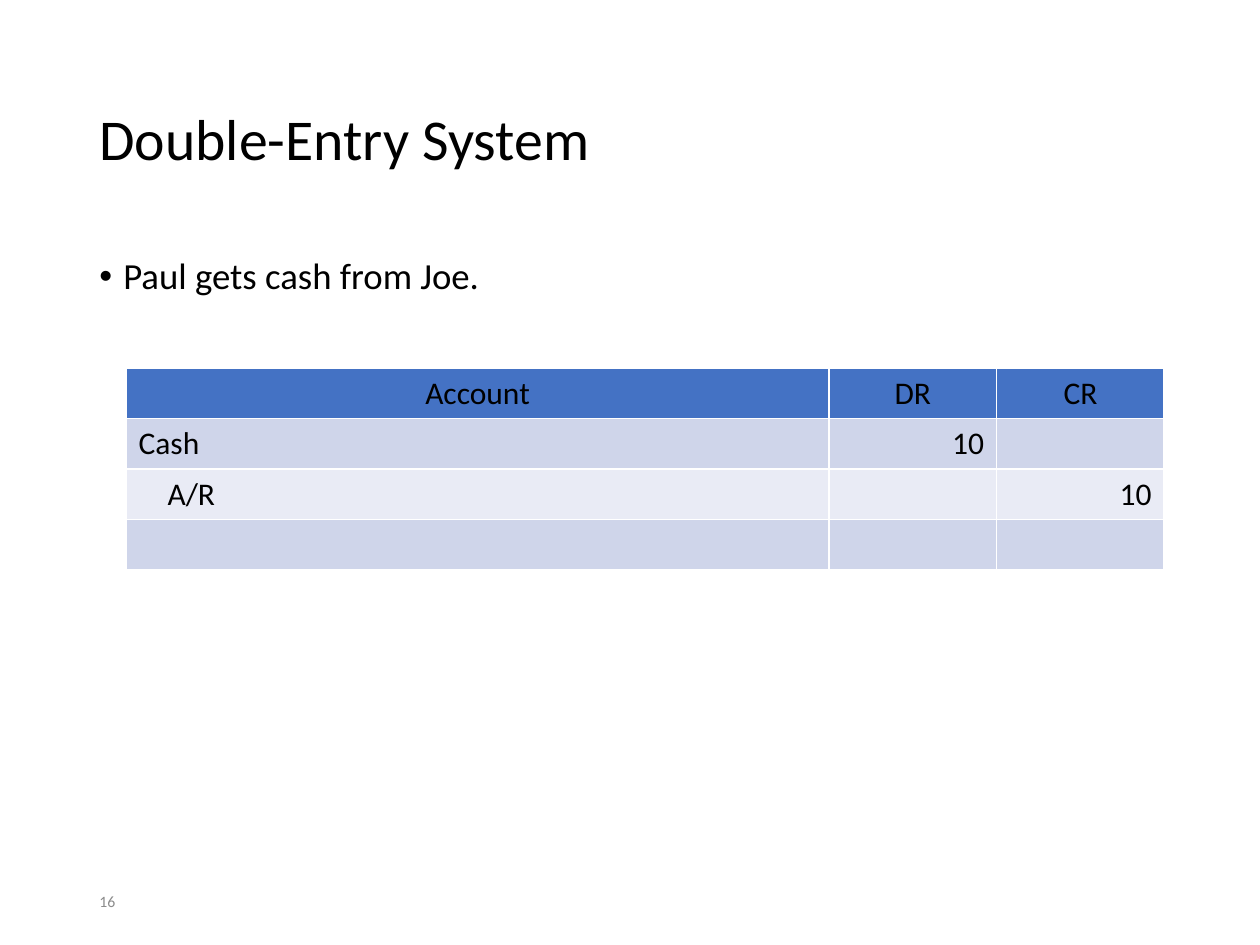
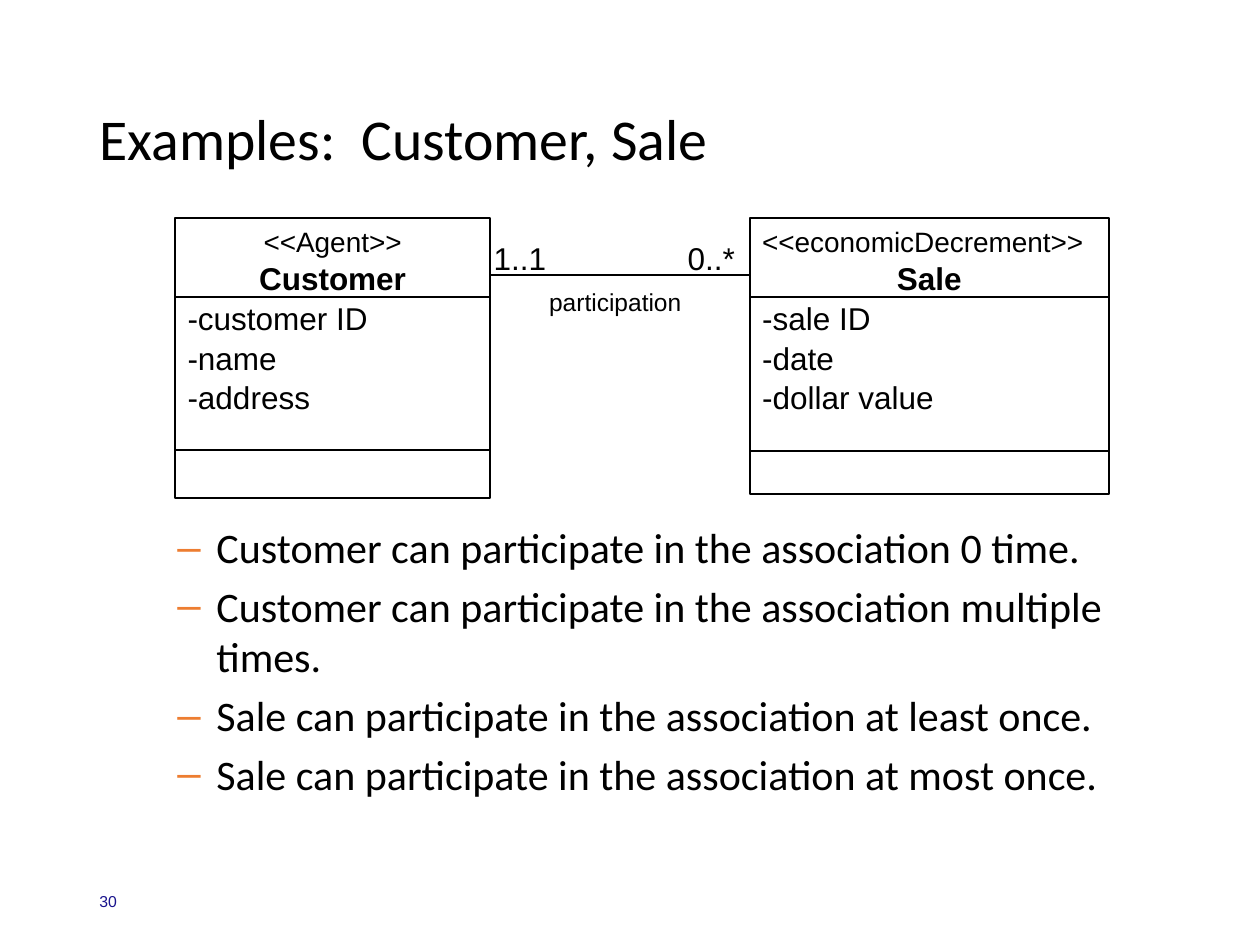
from dataclasses import dataclass

from lxml import etree
from pptx import Presentation
from pptx.dml.color import RGBColor
from pptx.enum.shapes import MSO_CONNECTOR as Connector, MSO_SHAPE as Shape
from pptx.enum.text import MSO_ANCHOR as Anchor, PP_ALIGN as Align
from pptx.oxml.ns import qn
from pptx.util import Inches, Pt


@dataclass(frozen=True)
class Theme:
    ink: str = "000000"
    paper: str = "FFFFFF"
    accent: str = "ED7D31"
    header: str = "4472C4"
    bands: tuple = ("CFD5EA", "E9EBF5")
    number_gray: str = "8C8C8C"
    number_blue: str = "19138D"
    sans: str = "Calibri"
    diagram: str = "Arial"
    title: float = 33
    body: float = 21
    points: float = 24
    normal: float = 18
    stereotype: float = 16
    label: float = 14
    number: float = 9
    line: float = 1


def add_xml(parent, tag, **attributes):
    return etree.SubElement(parent, qn(tag), attributes)


def set_bullet(para, char, color, margin, indent):
    properties = para._p.get_or_add_pPr()
    properties.set("marL", str(Inches(margin)))
    properties.set("indent", str(Inches(indent)))
    add_xml(add_xml(properties, "a:buClr"), "a:srgbClr", val=color)
    add_xml(properties, "a:buFont", typeface="Arial")
    add_xml(properties, "a:buChar", char=char)


class SlideBuilder:
    def __init__(self, theme):
        self.theme = theme
        self.deck = Presentation()
        self.deck.slide_width, self.deck.slide_height = Inches(10), Inches(7.5)
        self.page = None

    def new_page(self, title, number, number_font, number_color):
        theme = self.theme
        self.page = self.deck.slides.add_slide(self.deck.slide_layouts[6])
        self.text((0.69, 0.4, 8.62, 1.45), [title], theme.title,
                  anchor=Anchor.MIDDLE, line_spacing=0.9)
        self.text((0.69, 6.95, 2.25, 0.4), [number], theme.number, number_font,
                  number_color, anchor=Anchor.MIDDLE)

    def fill_para(self, para, text, size, font=None, color=None, bold=False, **formats):
        """Put text in a paragraph; formats are paragraph attributes."""
        for name, value in formats.items():
            setattr(para, name, value)
        span = para.add_run()
        span.text = text
        values = {"size": Pt(size), "name": font or self.theme.sans, "bold": bold}
        for name, value in values.items():
            setattr(span.font, name, value)
        span.font.color.rgb = RGBColor.from_string(color or self.theme.ink)

    def text(self, place, lines, size, font=None, color=None, anchor=Anchor.TOP,
             wrap=True, bullet=None, space_before=0, **formats):
        """Add a text box; bullet is (char, colour, margin, indent)."""
        box = self.page.shapes.add_textbox(*map(Inches, place))
        frame = box.text_frame
        frame.word_wrap, frame.vertical_anchor = wrap, anchor
        for index, line in enumerate(lines):
            para = frame.add_paragraph() if index else frame.paragraphs[0]
            if bullet:
                set_bullet(para, *bullet)
            if index:
                para.space_before = Pt(space_before)
            self.fill_para(para, line, size, font, color, **formats)

    def line(self, start, end, parent=None):
        shapes = (parent or self.page).shapes
        line = shapes.add_connector(Connector.STRAIGHT, *map(Inches, start + end))
        line.line.color.rgb = RGBColor.from_string(self.theme.ink)
        line.line.width = Pt(self.theme.line)
        add_xml(line._element.spPr, "a:effectLst")

    def class_box(self, place, stereotype, stereotype_align, name, attributes, dividers):
        """Add a UML class: outline with text and dividers at the given heights."""
        theme = self.theme
        left, top, width, height = place
        group = self.page.shapes.add_group_shape()
        box = group.shapes.add_shape(Shape.RECTANGLE, *map(Inches, place))
        box.shadow.inherit = False
        box.fill.background()
        box.line.color.rgb = RGBColor.from_string(theme.ink)
        box.line.width = Pt(theme.line)
        frame = box.text_frame
        frame.word_wrap, frame.vertical_anchor = True, Anchor.TOP
        self.fill_para(frame.paragraphs[0], stereotype, theme.stereotype, theme.diagram,
                       alignment=stereotype_align)
        self.fill_para(frame.add_paragraph(), name, theme.normal, theme.diagram, bold=True,
                       alignment=Align.CENTER, space_before=Pt(1))
        for attribute in attributes:
            self.fill_para(frame.add_paragraph(), f"-{attribute}", theme.normal,
                           theme.diagram, alignment=Align.LEFT, space_before=Pt(1))
        for y in dividers:
            self.line((left, y), (left + width, y), group)

    def cell_style(self, cell, color):
        cell.fill.solid()
        cell.fill.fore_color.rgb = RGBColor.from_string(color)
        properties = cell._tc.get_or_add_tcPr()
        for index, side in enumerate("LRTB"):
            border = etree.Element(qn(f"a:ln{side}"), w=str(Pt(self.theme.line)))
            fill = add_xml(border, "a:solidFill")
            add_xml(fill, "a:srgbClr", val=self.theme.paper)
            properties.insert(index, border)

    def journal(self, left, top, widths, row_height, rows):
        """Add a journal table; a row is (account, debit, credit, indent)."""
        theme = self.theme
        place = (left, top, sum(widths), row_height * len(rows))
        table = self.page.shapes.add_table(len(rows), len(widths),
                                           *map(Inches, place)).table
        for column, width in zip(table.columns, widths):
            column.width = Inches(width)
        for r, (*texts, indent) in enumerate(rows):
            color = theme.bands[(r - 1) % 2] if r else theme.header
            for c, text in enumerate(texts):
                cell = table.cell(r, c)
                self.cell_style(cell, color)
                align = Align.CENTER if r == 0 else Align.RIGHT if c else Align.LEFT
                if text:
                    self.fill_para(cell.text_frame.paragraphs[0], text, theme.normal,
                                   alignment=align)
            table.cell(r, 0).margin_left = Inches(0.1 + indent)

    def save(self):
        self.deck.save("out.pptx")


def double_entry(builder):
    theme = builder.theme
    builder.new_page("Double-Entry System", "16", theme.sans, theme.number_gray)
    builder.text((0.69, 2, 8.62, 4.76), ["Paul gets cash from Joe."], theme.body,
                 bullet=("•", theme.ink, 0.19, -0.19), line_spacing=0.9)
    builder.journal(1, 2.92, (5.58, 1.33, 1.33), 0.4, [
        ("Account", "DR", "CR", 0),
        ("Cash", "10", "", 0),
        ("A/R", "", "10", 0.23),
        ("", "", "", 0),
    ])


def customer_sale(builder):
    theme = builder.theme
    builder.new_page("Examples:  Customer, Sale", "30", theme.diagram, theme.number_blue)
    builder.class_box((1.39, 1.73, 2.5, 2.22), "<<Agent>>", Align.CENTER, "Customer",
                      ("customer ID", "name", "address"), (2.36, 3.57))
    builder.class_box((5.95, 1.73, 2.85, 2.19), "<<economicDecrement>>", Align.LEFT, "Sale",
                      ("sale ID", "date", "dollar value"), (2.36, 3.58))
    builder.line((3.89, 2.18), (5.95, 2.18))
    for place, label, size in (
        ((3.82, 1.85, 0.64, 0.4), "1..1", theme.normal),
        ((5.36, 1.85, 0.64, 0.4), "0..*", theme.normal),
        ((4.26, 2.23, 1.33, 0.34), "participation", theme.label),
    ):
        builder.text(place, [label], size, theme.diagram, wrap=False)
    builder.text((0.81, 4.09, 8.63, 3.1), [
        "Customer can participate in the association 0 time.",
        "Customer can participate in the association multiple times.",
        "Sale can participate in the association at least once.",
        "Sale can participate in the association at most once.",
    ], theme.points, bullet=("–", theme.accent, 0.81, -0.31),
        space_before=0.2 * theme.points)


def main():
    builder = SlideBuilder(Theme())
    double_entry(builder)
    customer_sale(builder)
    builder.save()


if __name__ == "__main__":
    main()
